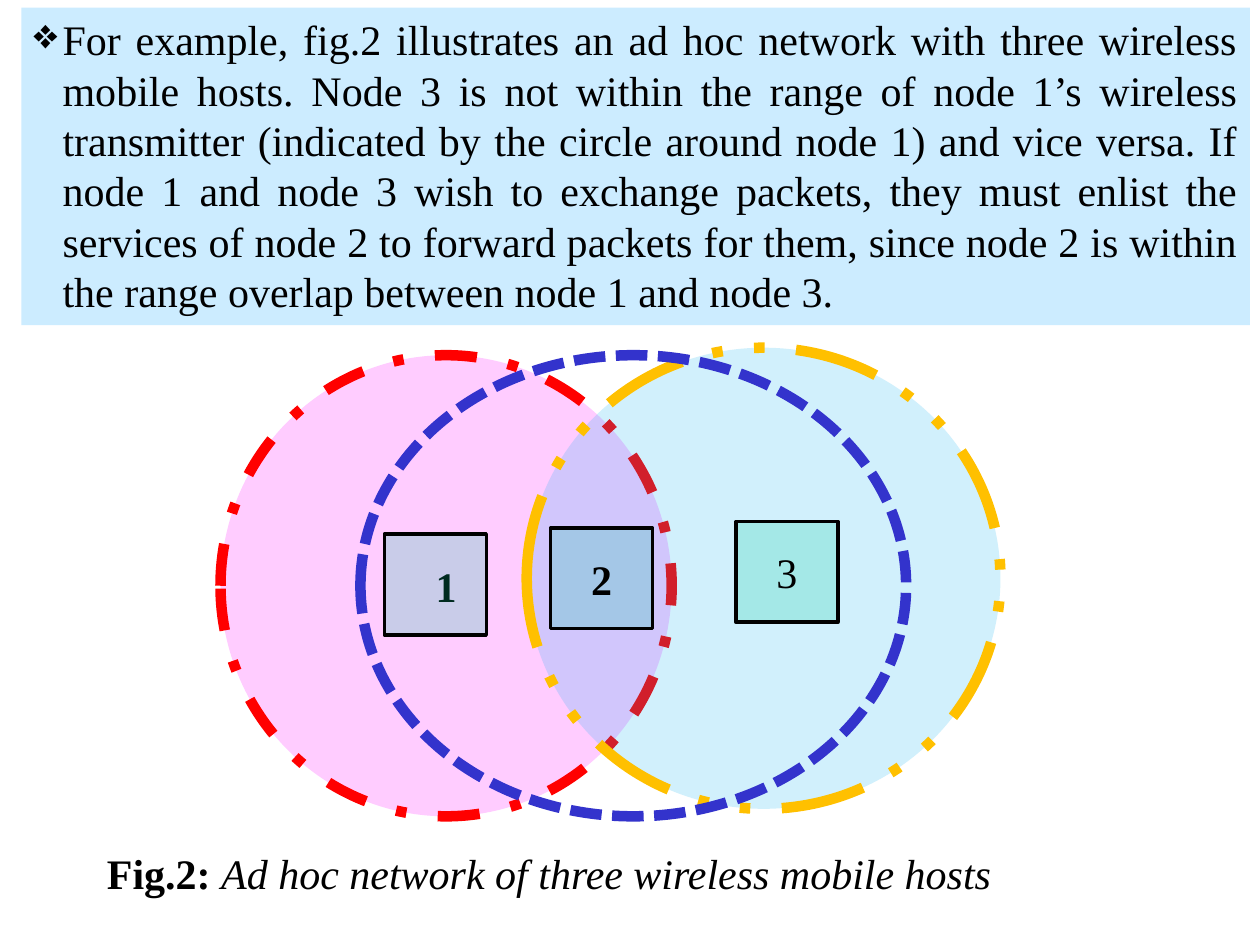
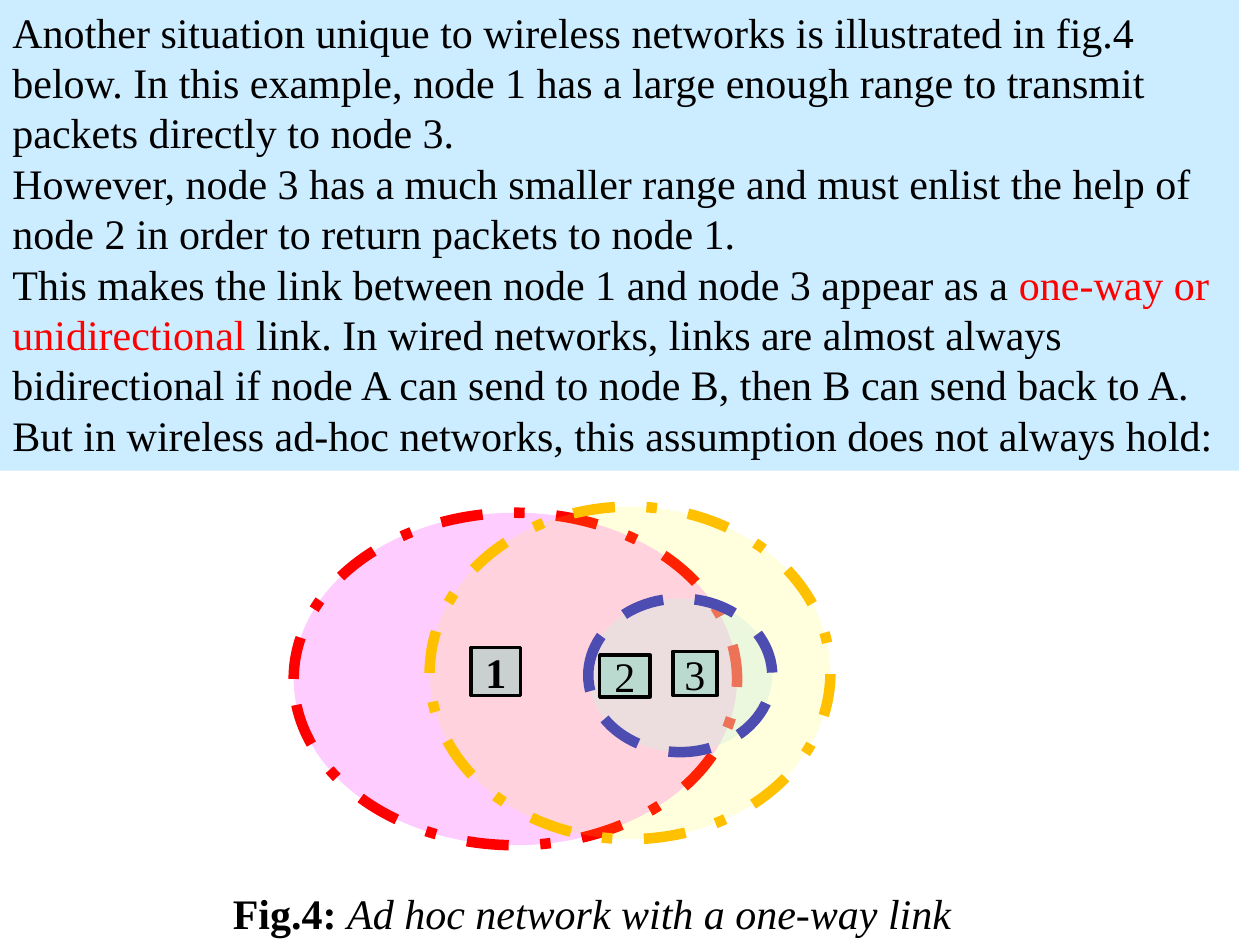
from dataclasses import dataclass

from lxml import etree
from pptx import Presentation
from pptx.dml.color import RGBColor as RGB
from pptx.enum.dml import MSO_LINE as DASH
from pptx.enum.shapes import MSO_SHAPE as SHAPE
from pptx.enum.text import MSO_ANCHOR as ANCHOR, PP_ALIGN as ALIGN
from pptx.oxml.ns import qn
from pptx.util import Pt


@dataclass(frozen=True)
class Theme:
    font: str = "Times New Roman"
    size: float = 24
    leading: float = 28.8
    range_line: float = 6
    node_line: float = 2
    ink: str = "000000"
    red: str = "FF0000"
    panel: str = "CCECFF"
    pink: str = "FFCCFF"
    sky: str = "00B0F0"
    yellow: str = "FFFF00"
    amber: str = "FFC000"
    blue: str = "3333CC"
    green: str = "00CC99"


theme = Theme()


def add_block(shapes, kind, box, fill=None, alpha=None, line=None, width=0, dash=None):
    """Add a shape with plain fill, optional opacity in percent, and outline."""
    sp = shapes.add_shape(kind, *[Pt(v) for v in box])
    sp.shadow.inherit = False
    if fill:
        sp.fill.solid()
        sp.fill.fore_color.rgb = RGB.from_string(fill)
        if alpha:
            clr = sp.fill._xPr.find(qn("a:solidFill"))[0]
            etree.SubElement(clr, qn("a:alpha")).set("val", str(alpha * 1000))
    else:
        sp.fill.background()
    if line:
        sp.line.color.rgb = RGB.from_string(line)
        sp.line.width = Pt(width)
        if dash:
            sp.line.dash_style = dash
    else:
        sp.line.fill.background()
    return sp


def write(p, *runs, align=ALIGN.LEFT):
    """Fill a paragraph with (text, colour, bold, italic) runs."""
    p.alignment = align
    p.line_spacing = Pt(theme.leading)
    for text, color, bold, italic in runs:
        r = p.add_run()
        r.text = text
        r.font.name = theme.font
        r.font.size = Pt(theme.size)
        r.font.color.rgb = RGB.from_string(color)
        r.font.bold = bold
        r.font.italic = italic


# What each slide says: paragraphs are lists of (text, colour)
slides = [
    dict(
        panel=(12.2, 4.3, 702, 181.5), bullet="❖", align=ALIGN.JUSTIFY,
        paragraphs=[
            [("For example, fig.2 illustrates an ad hoc network with three wireless "
              "mobile hosts. Node 3 is not within the range of node 1’s wireless "
              "transmitter (indicated by the circle around node 1) and vice versa. "
              "If node 1 and node 3 wish to exchange packets, they must enlist the "
              "services of node 2 to forward packets for them, since node 2 is within "
              "the range overlap between node 1 and node 3. ", theme.ink)],
        ],
        caption=("Fig.2: ", "Ad hoc network of three wireless mobile hosts"),
        caption_box=(54, 480.2, 531, 36.7),
        # Box, fill, opacity, outline, dash, label
        ranges=[
            ((126, 203, 257.8, 263.5), theme.pink, None, theme.red, DASH.DASH_DOT, "1"),
            ((301, 198.7, 270.7, 263.5), theme.sky, 18, theme.amber, DASH.DASH_DOT_DOT, ""),
            ((206, 203, 311.8, 263.5), None, None, theme.blue, DASH.SQUARE_DOT, ""),
        ],
        # Box, label, bold
        nodes=[
            ((219.6, 305.3, 58.3, 57.6), "", False),
            ((314.6, 301.7, 58.3, 57.6), "2", True),
            ((420.5, 298, 58.3, 57.6), "3", False),
        ],
    ),
    dict(
        panel=(0, 0, 708, 269), bullet=None, align=ALIGN.LEFT,
        paragraphs=[
            [("Another situation unique to wireless networks is illustrated in fig.4 "
              "below. In this example, node 1 has a large enough range to transmit "
              "packets directly to node 3.", theme.ink)],
            [("However, node 3 has a much smaller range and must enlist the help of "
              "node 2 in order to return packets to node 1.", theme.ink)],
            [("This makes the link between node 1 and node 3 appear as a ", theme.ink),
             ("one-way or unidirectional", theme.red),
             (" link. In wired networks, links are almost always bidirectional if "
              "node A can send to node B, then B can send back to A. But in wireless "
              "ad-hoc networks, this assumption does not always hold:", theme.ink)],
        ],
        caption=("Fig.4: ", "Ad hoc network with a one-way link"),
        caption_box=(126, 503.3, 435, 36.7),
        ranges=[
            ((167.8, 293, 253.4, 190), theme.pink, None, theme.red, DASH.DASH_DOT, ""),
            ((336.2, 342, 105.1, 87.8), theme.panel, 40, theme.blue, DASH.DASH, ""),
            ((245.5, 289.5, 229, 190), theme.yellow, 13, theme.amber, DASH.DASH_DOT, ""),
        ],
        nodes=[
            ((269.3, 370, 28.1, 27.4), "1", True),
            ((342.7, 374.4, 28.8, 23.8), "2", False),
            ((384.5, 372.2, 25.2, 25.2), "3", False),
        ],
    ),
]

prs = Presentation()
prs.slide_width, prs.slide_height = Pt(720), Pt(540)

for content in slides:
    s = prs.slides.add_slide(prs.slide_layouts[6])

    # Text panel
    tf = add_block(s.shapes, SHAPE.RECTANGLE, content["panel"], theme.panel).text_frame
    tf.word_wrap = True
    tf.vertical_anchor = ANCHOR.TOP
    for i, parts in enumerate(content["paragraphs"]):
        p = tf.add_paragraph() if i else tf.paragraphs[0]
        if content["bullet"]:
            pPr = p._p.get_or_add_pPr()
            pPr.set("marL", str(Pt(16.5)))
            pPr.set("indent", str(-Pt(16.5)))
            etree.SubElement(pPr, qn("a:buChar")).set("char", content["bullet"])
        write(p, *[(text, color, False, False) for text, color in parts],
              align=content["align"])

    # Caption
    tf = s.shapes.add_textbox(*[Pt(v) for v in content["caption_box"]]).text_frame
    tf.word_wrap = True
    tf.vertical_anchor = ANCHOR.MIDDLE
    number, title = content["caption"]
    write(tf.paragraphs[0], (number, theme.ink, True, False),
          (title, theme.ink, False, True))

    # Network diagram: transmitter ranges, then nodes on top
    diagram = s.shapes.add_group_shape().shapes
    labels = []
    for box, fill, alpha, line, dash, label in content["ranges"]:
        sp = add_block(diagram, SHAPE.OVAL, box, fill, alpha, line, theme.range_line, dash)
        labels.append((sp, label, True))
    for box, label, bold in content["nodes"]:
        sp = add_block(diagram, SHAPE.RECTANGLE, box, theme.green, 21, theme.ink,
                       theme.node_line)
        labels.append((sp, label, bold))

    # Node labels
    for sp, label, bold in labels:
        if label:
            tf = sp.text_frame
            tf.margin_left = tf.margin_right = tf.margin_top = tf.margin_bottom = 0
            tf.vertical_anchor = ANCHOR.MIDDLE
            write(tf.paragraphs[0], (label, theme.ink, bold, False), align=ALIGN.CENTER)

prs.save("out.pptx")
